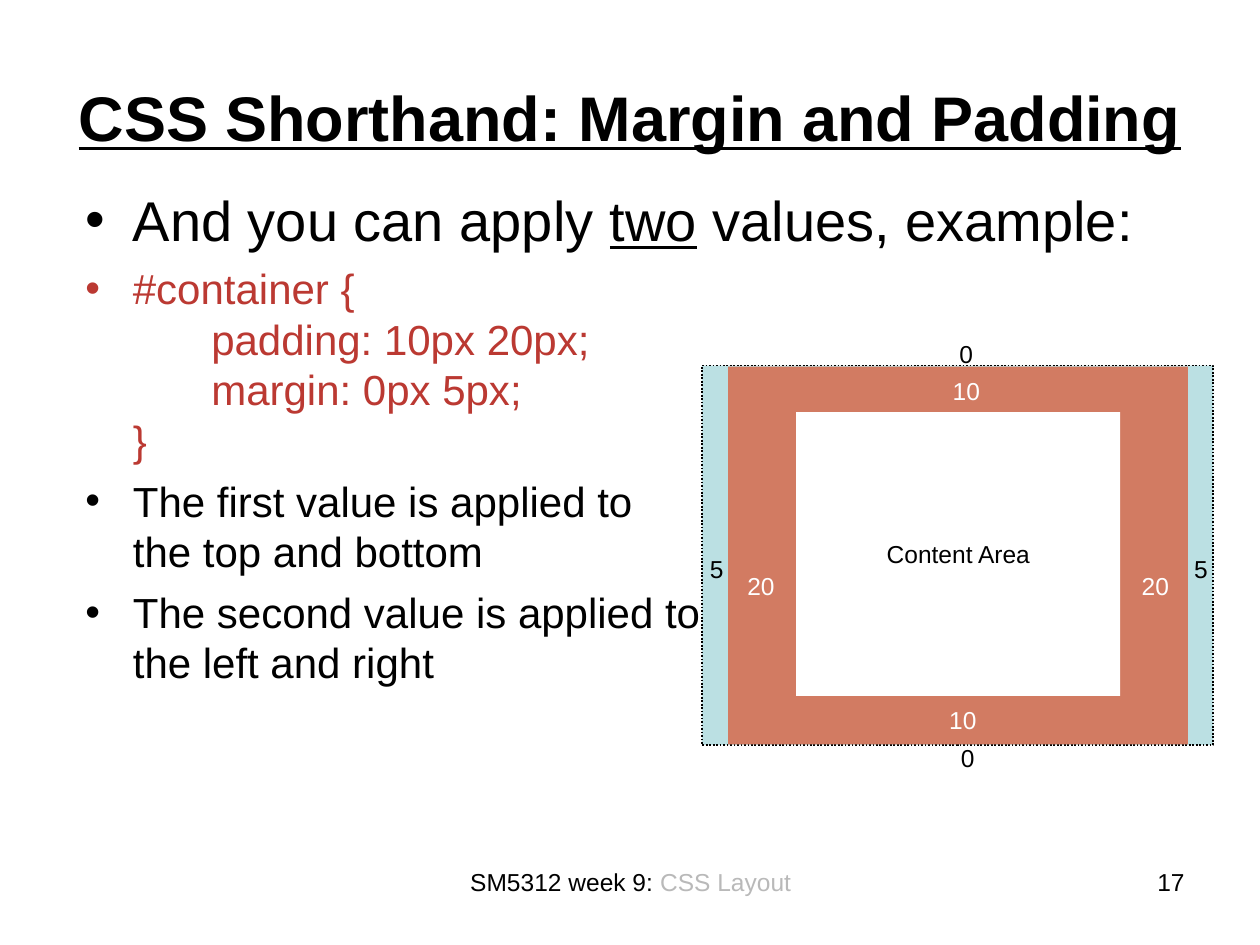
from lxml.etree import SubElement
from pptx import Presentation
from pptx.dml.color import RGBColor
from pptx.enum.dml import MSO_LINE
from pptx.enum.shapes import MSO_SHAPE
from pptx.enum.text import MSO_ANCHOR, MSO_AUTO_SIZE, PP_ALIGN
from pptx.oxml.ns import qn
from pptx.util import Cm, Pt

BLACK = RGBColor(0x00, 0x00, 0x00)
WHITE = RGBColor(0xFF, 0xFF, 0xFF)
GREY = RGBColor(0xB9, 0xB9, 0xB9)
CODE_RED = RGBColor(0xBB, 0x39, 0x32)
MARGIN_BLUE = RGBColor(0xBB, 0xE0, 0xE3)
PADDING_RED = RGBColor(0xD2, 0x7B, 0x62)

TITLE_BOX = (1.27, 0.76, 22.86, 3.18)
BODY_BOX = (1.47, 3.61, 23.06, 12.85)
DIAGRAM_BOX = (14.15, 7.37, 10.31, 7.65)
FOOTER_BOX = (8.69, 17.35, 8.05, 1.32)
NUMBER_BOX = (18.21, 17.35, 5.92, 1.32)
LABEL_HEIGHT = 0.86


def format_run(r, size, color, **styles):
    r.font.color.rgb = color
    for name, value in {"name": "Arial", "size": Pt(size), **styles}.items():
        setattr(r.font, name, value)


def add_text(s, box, runs, align):
    """Add a one-line 14 pt text box from (text, colour) pairs."""
    tf = s.shapes.add_textbox(*map(Cm, box)).text_frame
    tf.word_wrap = True
    p = tf.paragraphs[0]
    p.alignment = align
    for text, color in runs:
        r = p.add_run()
        r.text = text
        format_run(r, 14, color)


def add_title(s, box, text):
    title = s.shapes.title
    title.left, title.top, title.width, title.height = map(Cm, box)
    tf = title.text_frame
    tf.text = text
    tf.auto_size = MSO_AUTO_SIZE.NONE
    tf.vertical_anchor = MSO_ANCHOR.MIDDLE
    p = tf.paragraphs[0]
    p.alignment = PP_ALIGN.CENTER
    format_run(p.runs[0], 36, BLACK, bold=True, underline=True)


def add_bullet(p, color):
    """Give a paragraph a hanging bullet and a tab stop for code."""
    pPr = p._p.get_or_add_pPr()
    pPr.set("marL", str(Cm(0.96)))
    pPr.set("indent", str(-Cm(0.96)))
    bu_color = SubElement(pPr, qn("a:buClr"))
    SubElement(bu_color, qn("a:srgbClr"), val=str(color))
    SubElement(pPr, qn("a:buFont"), typeface="Arial")
    SubElement(pPr, qn("a:buChar"), char="•")
    tabs = SubElement(pPr, qn("a:tabLst"))
    SubElement(tabs, qn("a:tab"), pos=str(Cm(2.54)), algn="l")


def add_body(s, box):
    tf = s.shapes.add_textbox(*map(Cm, box)).text_frame
    tf.word_wrap = True
    p = tf.paragraphs[0]
    add_bullet(p, BLACK)
    for text, underline in (("And you can apply ", False), ("two", True),
                            (" values, example:", False)):
        r = p.add_run()
        r.text = text
        format_run(r, 32, BLACK, underline=underline)

    for text, color in (
        ("#container {\n\tpadding: 10px 20px;\n\tmargin: 0px 5px;\n}", CODE_RED),
        ("The first value is applied to\nthe top and bottom", BLACK),
        ("The second value is applied to\nthe left and right", BLACK),
    ):
        p = tf.add_paragraph()
        add_bullet(p, color)
        p.space_before = Pt(6)
        p.text = text
        for r in p.runs:
            format_run(r, 24, color)


def add_box_model(s, box):
    """Draw margin, padding and content as nested boxes with their values."""
    left, top, width, height = box
    layers = (
        (0, 0, width, height, MARGIN_BLUE),
        (0.53, 0.02, 9.27, 7.62, PADDING_RED),
        (1.9, 0.94, 6.53, 5.72, WHITE),
    )
    for x, y, w, h, color in layers:
        sp = s.shapes.add_shape(MSO_SHAPE.RECTANGLE,
                                *map(Cm, (left + x, top + y, w, h)))
        sp.shadow.inherit = False
        sp.fill.solid()
        sp.fill.fore_color.rgb = color
        if color == MARGIN_BLUE:
            sp.line.color.rgb = BLACK
            sp.line.width = Pt(1)
            sp.line.dash_style = MSO_LINE.ROUND_DOT
        else:
            sp.line.fill.background()

    labels = (  # text, centre x, centre y, width, colour
        ("Content Area", 5.17, 3.81, 5.97, BLACK),
        ("0", 5.33, -0.23, 2.39, BLACK),
        ("0", 5.36, 7.92, 2.39, BLACK),
        ("5", 0.3, 4.11, 2.39, BLACK),
        ("5", 10.06, 4.11, 2.39, BLACK),
        ("10", 5.33, 0.51, 2.39, WHITE),
        ("10", 5.26, 7.14, 2.39, WHITE),
        ("20", 1.19, 4.45, 2.39, WHITE),
        ("20", 9.14, 4.45, 2.39, WHITE),
    )
    for text, x, y, w, color in labels:
        label_box = (left + x - w / 2, top + y - LABEL_HEIGHT / 2, w, LABEL_HEIGHT)
        add_text(s, label_box, [(text, color)], PP_ALIGN.CENTER)


def main():
    prs = Presentation()
    prs.slide_width, prs.slide_height = Cm(25.4), Cm(19.05)
    s = prs.slides.add_slide(prs.slide_layouts[5])
    add_title(s, TITLE_BOX, "CSS Shorthand: Margin and Padding")
    add_body(s, BODY_BOX)
    add_box_model(s, DIAGRAM_BOX)
    add_text(s, FOOTER_BOX, [("SM5312 week 9: ", BLACK), ("CSS Layout", GREY)],
             PP_ALIGN.CENTER)
    add_text(s, NUMBER_BOX, [("17", BLACK)], PP_ALIGN.RIGHT)
    prs.save("out.pptx")


if __name__ == "__main__":
    main()
